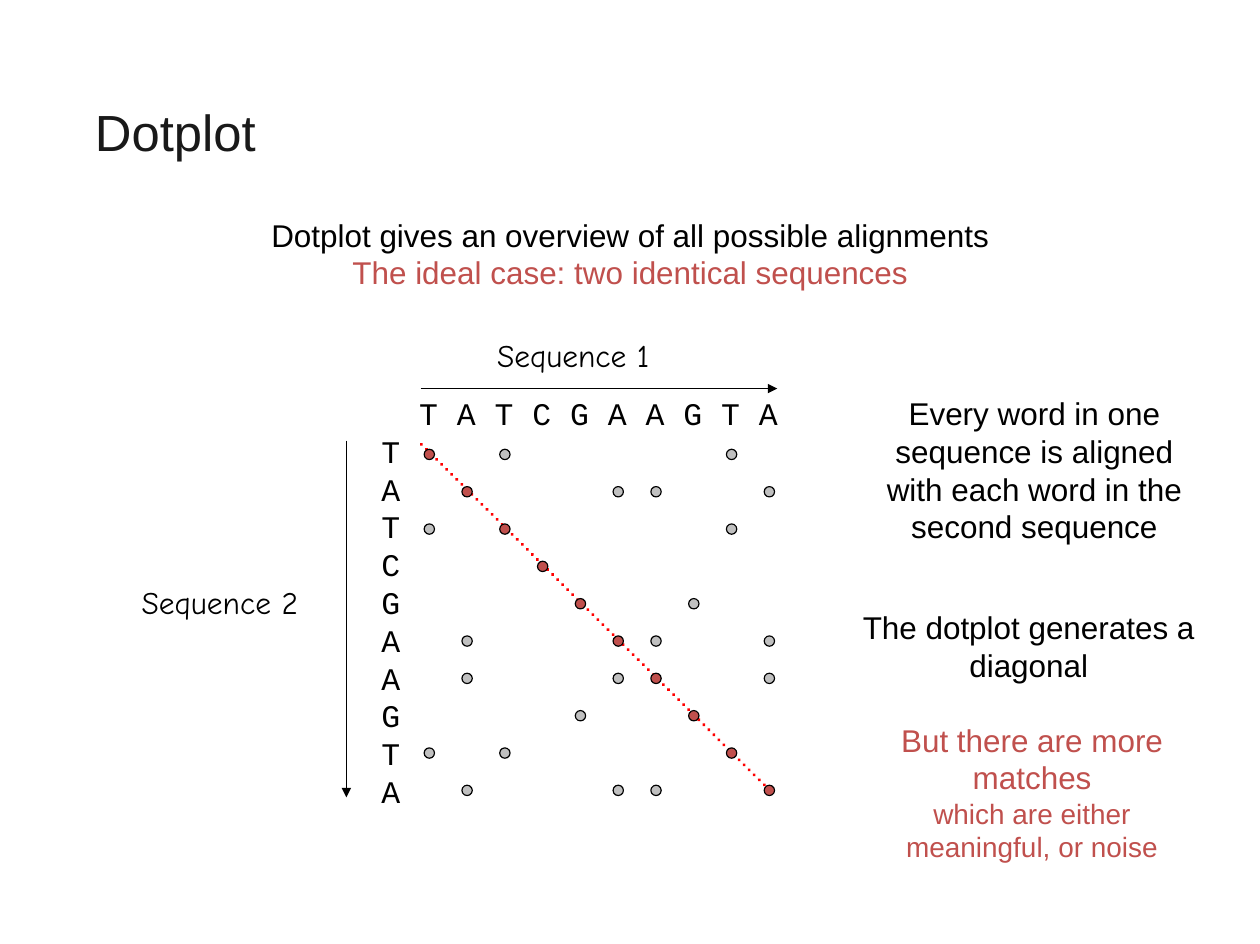
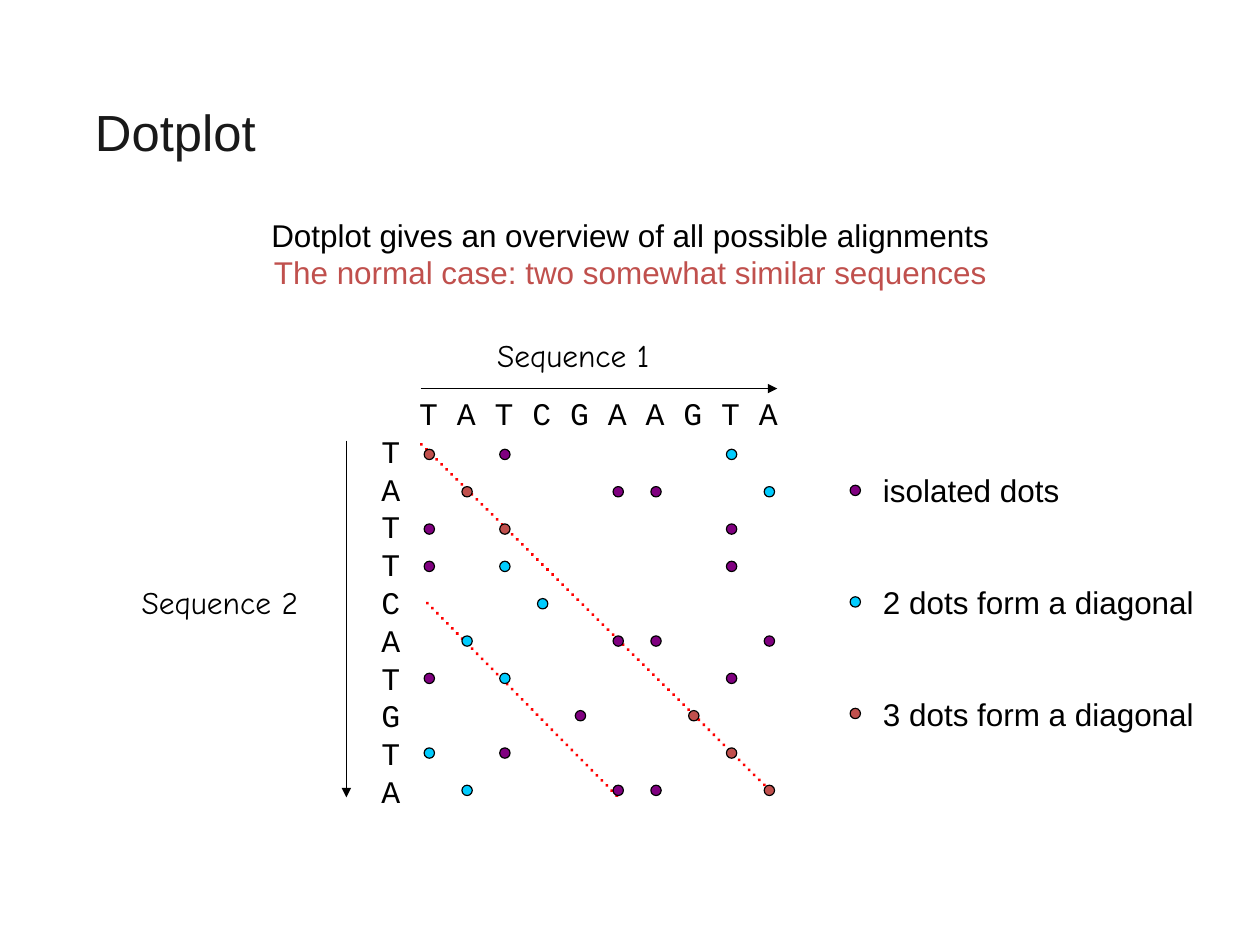
from lxml import etree
from pptx import Presentation
from pptx import util as u
from pptx.dml.color import RGBColor
from pptx.enum import dml, shapes, text
from pptx.oxml import ns

BLACK, RED, DOTTED_RED = "000000", "C0504D", "FF0000"
GREY, PURPLE, CYAN, TITLE_GREY = "C0C0C0", "800080", "00CCFF", "191919"
SANS, HAND, MONO = "Arial", "Comic Neue", "Courier New"
BODY, SMALL, HEADING = 19.85, 17.6, 32
CENTER, LEFT = text.PP_ALIGN.CENTER, text.PP_ALIGN.LEFT
DOT = 0.23
COLUMN_STEP, ROW_STEP = 0.84, 0.83
LEGEND_STEP = 2.48
SEQUENCE_1 = "TATCGAAGTA"
SEQUENCE_2 = "TATTCATGTA"
MAIN_DIAGONAL = (6.47, 2.54, 14.22, 10.24)
LOWER_DIAGONAL = (6.6, 6.07, 10.87, 10.41)


def colour(value):
    return RGBColor.from_string(value)


def add_text(page, left, top, width, height, lines, align=LEFT, font=SANS):
    box = page.shapes.add_textbox(u.Cm(left), u.Cm(top), u.Cm(width), u.Cm(height))
    frame = box.text_frame
    frame.word_wrap = True
    for index, (words, size, shade) in enumerate(lines):
        para = frame.paragraphs[0] if index == 0 else frame.add_paragraph()
        para.alignment = align
        para.line_spacing = u.Pt(round(size * 1.2, 1))
        span = para.add_run()
        span.text = words
        span.font.name = font
        span.font.size = u.Pt(size)
        span.font.color.rgb = colour(shade)
    return frame


def add_line(page, start_x, start_y, end_x, end_y, shade, width):
    line = page.shapes.add_connector(
        shapes.MSO_CONNECTOR.STRAIGHT,
        u.Cm(start_x), u.Cm(start_y), u.Cm(end_x), u.Cm(end_y))
    line.line.color.rgb = colour(shade)
    line.line.width = u.Pt(width)
    etree.SubElement(line._element.spPr, ns.qn("a:effectLst"))
    return line


def add_arrow(page, start_x, start_y, end_x, end_y):
    arrow = add_line(page, start_x, start_y, end_x, end_y, BLACK, 0.75)
    head = etree.SubElement(arrow.line._get_or_add_ln(), ns.qn("a:tailEnd"))
    head.set("type", "triangle")


def add_dot(page, left, top, shade):
    dot = page.shapes.add_shape(
        shapes.MSO_SHAPE.OVAL, u.Cm(left), u.Cm(top), u.Cm(DOT), u.Cm(DOT))
    dot.shadow.inherit = False
    dot.fill.solid()
    dot.fill.fore_color.rgb = colour(shade)
    dot.line.color.rgb = colour(BLACK)
    dot.line.width = u.Pt(0.75)


def add_header(page, subtitle):
    title = add_text(page, 2.11, 2.24, 23.8, 1.37, [("Dotplot", HEADING, TITLE_GREY)])
    title.margin_left = title.margin_right = title.margin_top = title.margin_bottom = 0
    title.vertical_anchor = text.MSO_ANCHOR.MIDDLE
    add_text(page, 5, 4.67, 18.02, 1.96, [
        ("Dotplot gives an overview of all possible alignments", BODY, BLACK),
        (subtitle, BODY, RED)], CENTER)


def diagonal_run(across, down, column, row):
    def matches(step):
        count, x, y = 0, column + step, row + step
        while 0 <= x < len(across) and 0 <= y < len(down) and across[x] == down[y]:
            count, x, y = count + 1, x + step, y + step
        return count
    return 1 + matches(1) + matches(-1)


def add_dotplot(page, left, top, across, down, shades, diagonals):
    for start_x, start_y, end_x, end_y in diagonals:
        line = add_line(page, left + start_x, top + start_y,
                        left + end_x, top + end_y, DOTTED_RED, 2.25)
        line.line.dash_style = dml.MSO_LINE.ROUND_DOT
        line.line._get_or_add_ln().set("cap", "rnd")
    letters = [" ".join(across), *down]
    frame = add_text(page, left + 5.33, top + 1.3, 10.2, 9.6,
                     [(row, BODY, BLACK) for row in letters], font=MONO)
    indent = frame.paragraphs[0]._p.get_or_add_pPr()
    indent.set("marL", str(u.Cm(COLUMN_STEP)))
    indent.set("indent", "0")
    add_text(page, left + 7.9, top, 5, 1.09, [("Sequence 1", BODY, BLACK)], font=HAND)
    add_text(page, left, top + 5.49, 4.7, 1.09, [("Sequence 2", BODY, BLACK)], font=HAND)
    add_arrow(page, left + 4.8, top + 2.46, left + 4.8, top + 10.39)
    add_arrow(page, left + 6.45, top + 1.3, left + 14.38, top + 1.3)
    for row, lower in enumerate(down):
        for column, upper in enumerate(across):
            if upper == lower:
                run = diagonal_run(across, down, column, row)
                shade = next(shade for least, shade in shades if run >= least)
                add_dot(page, left + 6.53 + column * COLUMN_STEP,
                        top + 2.65 + row * ROW_STEP, shade)


def add_remarks(page, left, top):
    add_text(page, left + 0.91, top, 7.75, 3.66, [
        ("Every word in one sequence is aligned with each word in the second sequence",
         BODY, BLACK)], CENTER)
    add_text(page, left, top + 4.75, 9.32, 1.96, [
        ("The dotplot generates a diagonal", BODY, BLACK)], CENTER)
    add_text(page, left + 1.09, top + 7.26, 7.29, 3.45, [
        ("But there are more matches", BODY, RED),
        ("which are either meaningful, or noise", SMALL, RED)], CENTER)


def add_legend(page, left, top, entries):
    for index, (words, shade) in enumerate(entries):
        y = top + index * LEGEND_STEP
        add_dot(page, left, y + 0.43, shade)
        add_text(page, left + 0.48, y, 8, 1.09, [(words, BODY, BLACK)])


def main():
    deck = Presentation()
    deck.slide_width, deck.slide_height = u.Pt(794), u.Pt(595)
    blank = deck.slide_layouts[6]

    page = deck.slides.add_slide(blank)
    add_header(page, "The ideal case: two identical sequences")
    add_dotplot(page, 2.9, 7.34, SEQUENCE_1, SEQUENCE_1,
                [(len(SEQUENCE_1), RED), (1, GREY)], [MAIN_DIAGONAL])
    add_remarks(page, 18.21, 8.64)

    page = deck.slides.add_slide(blank)
    add_header(page, "The normal case: two somewhat similar sequences")
    add_dotplot(page, 2.9, 7.34, SEQUENCE_1, SEQUENCE_2,
                [(3, RED), (2, CYAN), (1, PURPLE)], [MAIN_DIAGONAL, LOWER_DIAGONAL])
    add_legend(page, 18.9, 10.36, [
        ("isolated dots", PURPLE),
        ("2 dots form a diagonal", CYAN),
        ("3 dots form a diagonal", RED)])

    deck.save("out.pptx")


if __name__ == "__main__":
    main()
